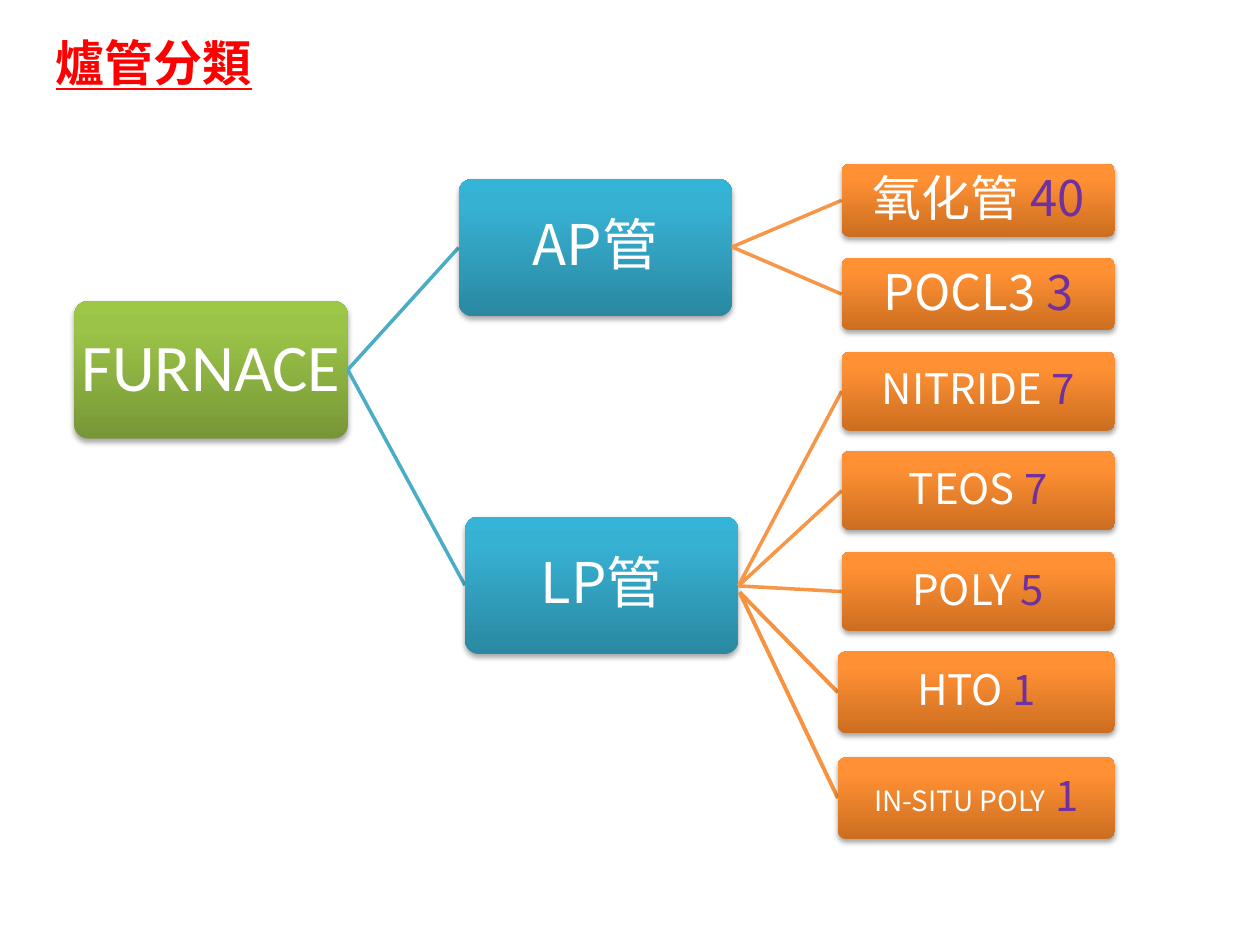
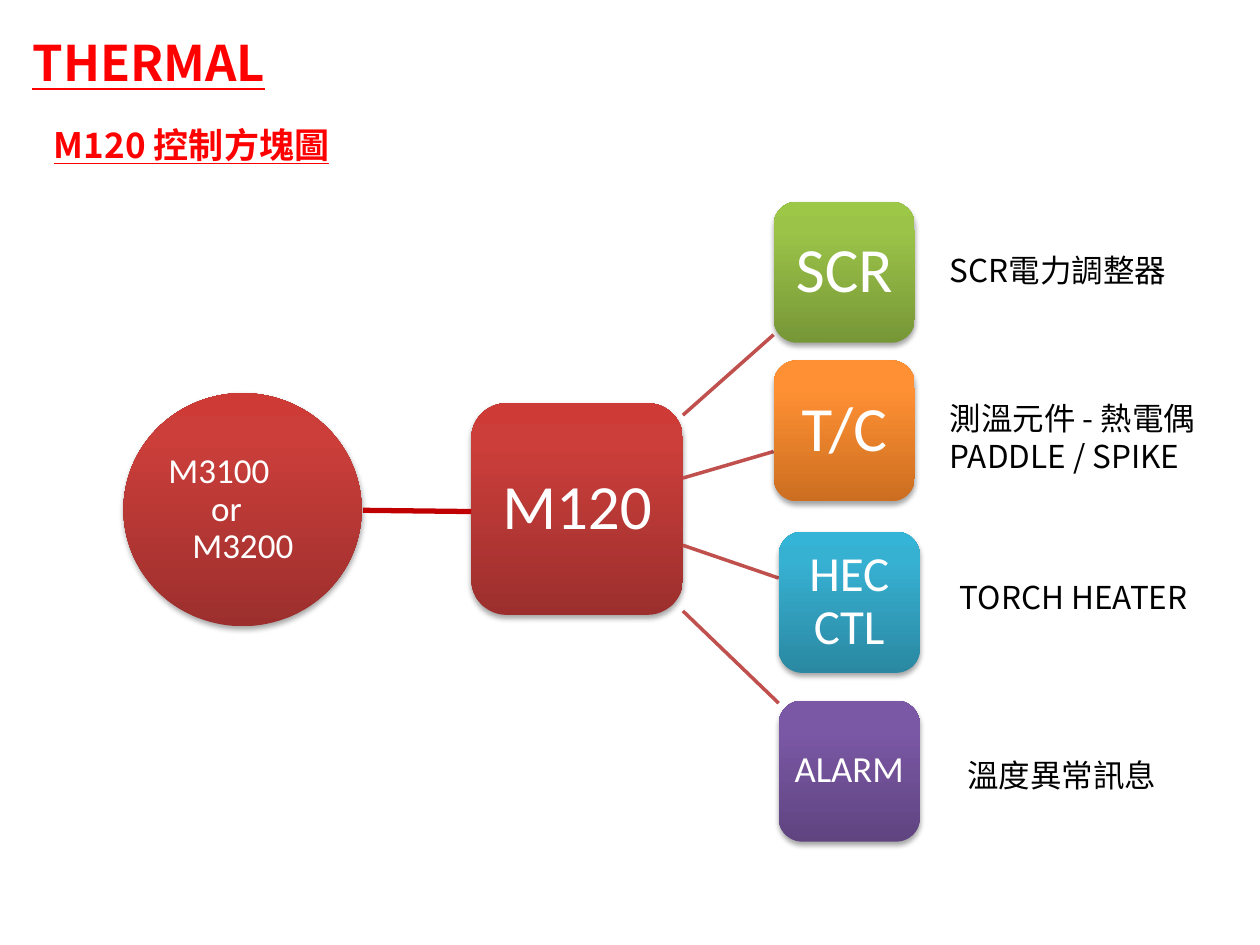
import pptx
import pptx.dml.color
import pptx.enum.shapes
import pptx.enum.text
import pptx.oxml
import pptx.oxml.ns
import pptx.util
from copy import deepcopy
from lxml import etree

Inches = pptx.util.Inches
RGBColor = pptx.dml.color.RGBColor
Shapes = pptx.enum.shapes.MSO_SHAPE
Align = pptx.enum.text.PP_ALIGN
qn = pptx.oxml.ns.qn

LATIN = "Calibri"
CJK = "Noto Sans CJK SC"

WHITE = RGBColor(0xFF, 0xFF, 0xFF)
BLACK = RGBColor(0, 0, 0)
TITLE_RED = RGBColor(0xFF, 0, 0)
COUNT_PURPLE = RGBColor(0x70, 0x30, 0xA0)
BRANCH_TEAL = RGBColor(0x4B, 0xAC, 0xC6)
BRANCH_ORANGE = RGBColor(0xF7, 0x96, 0x46)
EXTRA_ORANGE = RGBColor(0xF6, 0x92, 0x40)
SPOKE_RED = RGBColor(0xC0, 0x50, 0x4D)
LINK_RED = RGBColor(0xC0, 0, 0)

# Gradient stops at 0, 80 and 100 percent, from the bottom up
GREEN = (RGBColor(0x77, 0x97, 0x37), RGBColor(0x9B, 0xC3, 0x48), RGBColor(0x9D, 0xC7, 0x46))
TEAL = (RGBColor(0x2A, 0x88, 0xA2), RGBColor(0x37, 0xB1, 0xD2), RGBColor(0x34, 0xB4, 0xD6))
ORANGE = (RGBColor(0xCC, 0x6E, 0x20), RGBColor(0xFF, 0x90, 0x34), RGBColor(0xFF, 0x91, 0x36))
RED = (RGBColor(0x9C, 0x2F, 0x2D), RGBColor(0xCB, 0x3E, 0x3A), RGBColor(0xCE, 0x3B, 0x37))
PURPLE = (RGBColor(0x5F, 0x44, 0x80), RGBColor(0x7B, 0x58, 0xA6), RGBColor(0x7C, 0x57, 0xA8))

SHADOW = (
    '<a:effectLst xmlns:a="http://schemas.openxmlformats.org/drawingml/2006/main">'
    '<a:outerShdw blurRad="39370" dist="22860" dir="5400000" rotWithShape="0">'
    '<a:srgbClr val="000000"><a:alpha val="35000"/></a:srgbClr>'
    '</a:outerShdw></a:effectLst>'
)


def add_run(paragraph, text, size, color, font=CJK, strong=False):
    """Add one run; a strong run is bold and underlined."""
    run = paragraph.add_run()
    run.text = text
    run.font.size = pptx.util.Pt(size)
    run.font.name = font
    run.font.color.rgb = color
    if strong:
        run.font.bold = True
        run.font.underline = True
    east_asian = etree.SubElement(run._r.get_or_add_rPr(), qn("a:ea"))
    east_asian.set("typeface", font)


def set_gradient(shape, colors):
    shape.fill.gradient()
    shape.fill.gradient_angle = 90
    stop_list = shape._element.spPr.find(qn("a:gradFill")).find(qn("a:gsLst"))
    stop_list.insert(1, deepcopy(stop_list[0]))
    for stop, position, color in zip(shape.fill.gradient_stops, (0, 0.8, 1), colors):
        stop.position = position
        stop.color.rgb = color


def add_node(slide, left, top, width, height, colors, inset=0.02,
             kind=Shapes.ROUNDED_RECTANGLE, rounding=None):
    """Add a shaded shape with a soft shadow and return its text frame."""
    shape = slide.shapes.add_shape(
        kind, Inches(left), Inches(top), Inches(width), Inches(height))
    if rounding is not None:
        shape.adjustments[0] = rounding
    set_gradient(shape, colors)
    shape.line.fill.background()
    shape.shadow.inherit = False
    properties = shape._element.spPr
    properties.replace(properties.find(qn("a:effectLst")), pptx.oxml.parse_xml(SHADOW))
    frame = shape.text_frame
    frame.word_wrap = True
    frame.vertical_anchor = pptx.enum.text.MSO_ANCHOR.MIDDLE
    frame.margin_left = frame.margin_right = Inches(inset)
    frame.margin_top = frame.margin_bottom = Inches(inset)
    frame.paragraphs[0].alignment = Align.CENTER
    frame.paragraphs[0].line_spacing = 0.9
    return frame


def add_line(slide, start, end, color, width=2):
    points = [Inches(value) for value in (*start, *end)]
    line = slide.shapes.add_connector(
        pptx.enum.shapes.MSO_CONNECTOR.STRAIGHT, *points)
    line.line.color.rgb = color
    line.line.width = pptx.util.Pt(width)
    etree.SubElement(line._element.spPr, qn("a:effectLst"))


def add_text(slide, left, top, width, height, lines, size=18, color=BLACK,
             strong=False, alignment=Align.LEFT, wrap=True):
    box = slide.shapes.add_textbox(
        Inches(left), Inches(top), Inches(width), Inches(height))
    frame = box.text_frame
    frame.word_wrap = wrap
    frame.auto_size = pptx.enum.text.MSO_AUTO_SIZE.SHAPE_TO_FIT_TEXT
    for index, line in enumerate(lines):
        paragraph = frame.add_paragraph() if index else frame.paragraphs[0]
        paragraph.alignment = alignment
        add_run(paragraph, line, size, color, strong=strong)


def add_title(slide, left, width, text, alignment=Align.LEFT):
    add_text(slide, left, 0.21, width, 0.57, [text], 28, TITLE_RED, True, alignment)


def build_classification(slide):
    add_title(slide, 0.12, 2.2, "爐管分類", Align.CENTER)
    width, height = 2.17, 1.09
    root_left, root_top = 0.59, 2.39
    root_exit = (root_left + width, root_top + height / 2)
    root = add_node(slide, root_left, root_top, width, height, GREEN, 0, rounding=0.1)
    root.word_wrap = False
    add_run(root.paragraphs[0], "FURNACE", 38, WHITE, LATIN)

    for left, top, label in ((3.64, 1.42, "AP管"), (3.69, 4.1, "LP管")):
        add_line(slide, root_exit, (left, top + height / 2), BRANCH_TEAL)
        branch = add_node(slide, left, top, width, height, TEAL, rounding=0.1)
        add_run(branch.paragraphs[0], label, 32, WHITE)

    ap_exit, lp_exit, extra_exit = (5.81, 1.96), (5.86, 4.65), (5.87, 4.7)
    # branch exit, left, top, height, label, label size, count, count size
    leaves = [
        (ap_exit, 6.68, 1.3, 0.58, "氧化管", 28, "40", 28),
        (ap_exit, 6.68, 2.05, 0.57, "POCL3", 28, "3", 28),
        (lp_exit, 6.68, 2.79, 0.63, "NITRIDE", 24, "7", 24),
        (lp_exit, 6.68, 3.58, 0.63, "TEOS", 24, "7", 24),
        (lp_exit, 6.68, 4.38, 0.63, "POLY", 24, "5", 24),
        (extra_exit, 6.65, 5.17, 0.65, "HTO", 24, "1", 24),
        (extra_exit, 6.65, 6.01, 0.65, "IN-SITU POLY", 16, "1", 24),
    ]
    leaf_right = 8.85
    for start, left, top, leaf_height, label, size, count, count_size in leaves:
        color, weight = (EXTRA_ORANGE, 2.25) if start == extra_exit else (BRANCH_ORANGE, 2)
        add_line(slide, start, (left, top + leaf_height / 2), color, weight)
        leaf = add_node(slide, left, top, leaf_right - left, leaf_height, ORANGE,
                        rounding=0.1)
        add_run(leaf.paragraphs[0], label, size, WHITE)
        add_run(leaf.paragraphs[0], " ", count_size, WHITE)
        add_run(leaf.paragraphs[0], count, count_size, COUNT_PURPLE)


def build_control_diagram(slide):
    add_title(slide, 0.16, 2.4, "THERMAL")
    add_text(slide, 0.33, 0.93, 2.45, 0.44, ["M120 控制方塊圖"], 20, TITLE_RED, True,
             wrap=False)

    hub_left, hub_top, hub_size, part_size = 3.74, 3.2, 1.68, 1.12
    hub_x, hub_y = hub_left + hub_size / 2, hub_top + hub_size / 2
    hub_right = hub_left + hub_size
    hub = add_node(slide, hub_left, hub_top, hub_size, hub_size, RED, 0.1)
    add_run(hub.paragraphs[0], "M120", 36, WHITE, LATIN)

    parts = [
        (6.14, 1.6, "SCR", 36, GREEN, 0.1),
        (6.14, 2.86, "T/C", 36, ORANGE, 0.1),
        (6.18, 4.22, "HEC CTL", 28, TEAL, 0.08),
        (6.18, 5.56, "ALARM", 21, PURPLE, 0.06),
    ]
    for left, top, label, size, colors, inset in parts:
        # Each spoke lies on the line between the two centres
        slope = (top + part_size / 2 - hub_y) / (left + part_size / 2 - hub_x)
        start, end = ((x, hub_y + slope * (x - hub_x)) for x in (hub_right, left))
        add_line(slide, start, end, SPOKE_RED)
        part = add_node(slide, left, top, part_size, part_size, colors, inset)
        add_run(part.paragraphs[0], label, size, WHITE, LATIN)

    notes = [
        (7.44, 1.94, 1.94, 0.4, ["SCR電力調整器"]),
        (7.44, 3.12, 2.44, 0.71, ["測溫元件 - 熱電偶", "PADDLE / SPIKE"]),
        (7.52, 4.54, 2.44, 0.4, ["TORCH HEATER"]),
        (7.58, 5.95, 1.97, 0.4, ["溫度異常訊息"]),
    ]
    for note in notes:
        add_text(slide, *note)

    host = add_node(slide, 0.98, 3.12, 1.89, 1.85, RED, 0.01, Shapes.OVAL)
    for index, (label, indent) in enumerate((("M3100", 0.07), ("or", 0.41), ("M3200", 0.26))):
        paragraph = host.add_paragraph() if index else host.paragraphs[0]
        paragraph.alignment = Align.LEFT
        paragraph.line_spacing = 0.9
        paragraph._p.get_or_add_pPr().set("marL", str(Inches(indent)))
        add_run(paragraph, label, 20, WHITE, LATIN)
    add_line(slide, (2.88, 4.05), (hub_left, 4.06), LINK_RED, 3)


def main():
    presentation = pptx.Presentation()
    presentation.slide_width = Inches(10)
    presentation.slide_height = Inches(7.5)
    blank = presentation.slide_layouts[6]
    for build in (build_classification, build_control_diagram):
        build(presentation.slides.add_slide(blank))
    presentation.save("out.pptx")


if __name__ == "__main__":
    main()
